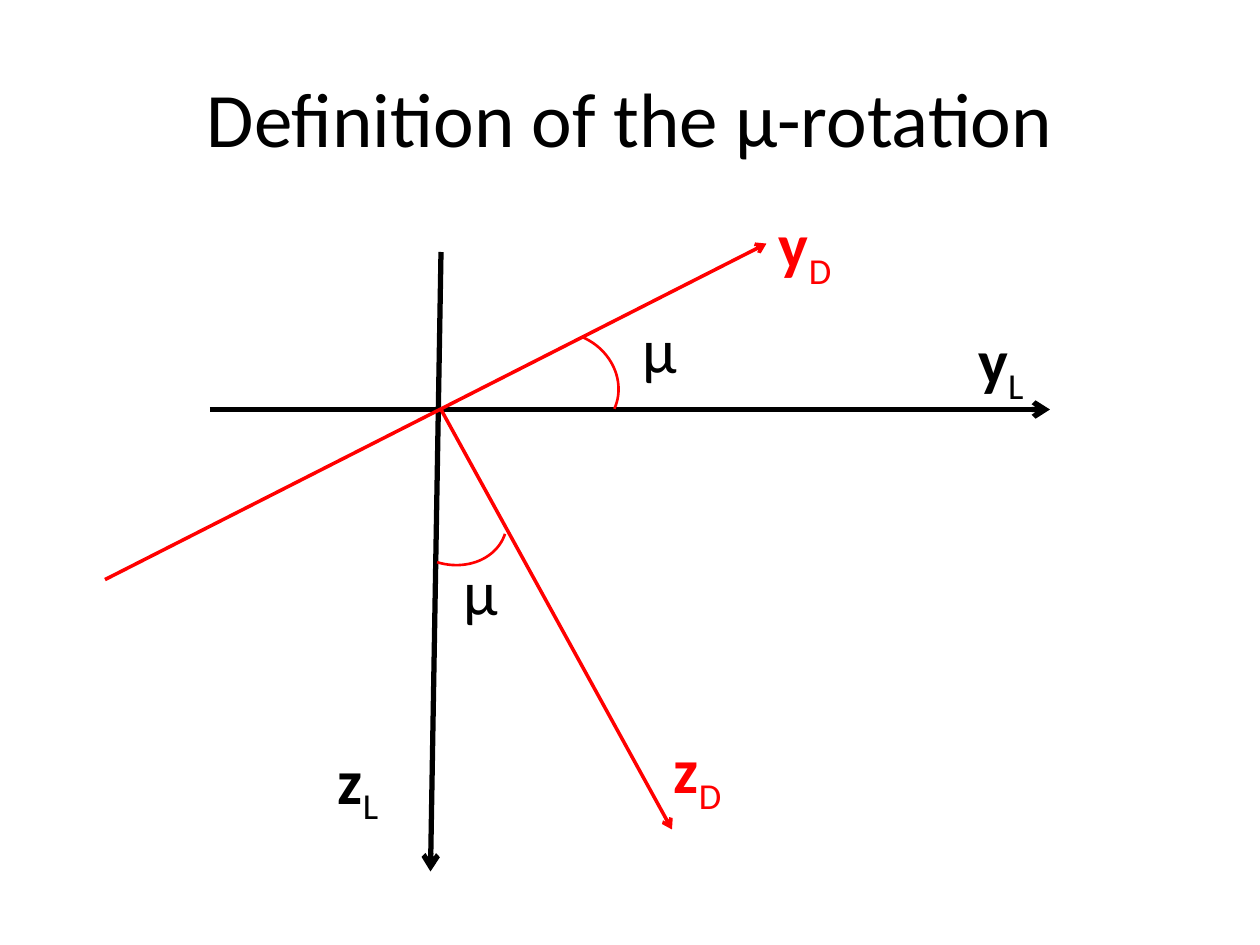
from dataclasses import dataclass

from lxml.etree import SubElement
from pptx import Presentation
from pptx.dml.color import RGBColor
from pptx.enum.shapes import MSO_CONNECTOR, MSO_SHAPE
from pptx.enum.text import MSO_ANCHOR, MSO_AUTO_SIZE, PP_ALIGN
from pptx.oxml.ns import qn
from pptx.slide import Slide
from pptx.util import Inches, Pt

BLACK = RGBColor(0x00, 0x00, 0x00)
RED = RGBColor(0xFF, 0x00, 0x00)
FONT = "Calibri"
CELLS_PER_INCH = 12
LABEL_HEIGHT = 8.5


@dataclass(frozen=True)
class Axis:
    start: tuple[float, float]
    end: tuple[float, float]
    color: RGBColor
    weight: float


@dataclass(frozen=True)
class AngleArc:
    column: float
    row: float
    columns: float
    rows: float
    rotation: float
    start_angle: float


@dataclass(frozen=True)
class Label:
    column: float
    row: float
    columns: float
    symbol: str
    subscript: str = ""
    color: RGBColor = BLACK


LAB_AXES = [
    Axis((20, 39), (100, 39), BLACK, 3),
    Axis((42, 24), (41, 83), BLACK, 3),
]
ROTATED_Z = Axis((42, 39), (64, 79), RED, 2)
ROTATED_Y = Axis((10, 55.2), (73, 23.2), RED, 2)
ARCS = [
    AngleArc(48, 31.7, 11, 10, 24, 162),
    AngleArc(38.4, 43.8, 9.1, 10.8, 107, 162.51),
]
LABELS = [
    Label(92, 30, 7, "y", "L"),
    Label(31, 70, 6.5, "z", "L"),
    Label(43, 52, 5.9, "μ"),
    Label(60, 29, 5.9, "μ"),
    Label(63, 69, 7.3, "z", "D", RED),
    Label(73, 19, 7.8, "y", "D", RED),
]


def cells(count: float) -> int:
    return Inches(count / CELLS_PER_INCH)


def add_run(paragraph, text: str, size: float, color: RGBColor, bold: bool = False):
    run = paragraph.add_run()
    run.text = text
    run.font.name = FONT
    run.font.size = Pt(size)
    run.font.bold = bold
    run.font.color.rgb = color
    return run


def draw_title(slide: Slide, text: str) -> None:
    title = slide.shapes.title
    title.left, title.top = Inches(0.5), Inches(0.3)
    title.width, title.height = Inches(9), Inches(1.25)
    title.text_frame.vertical_anchor = MSO_ANCHOR.MIDDLE
    paragraph = title.text_frame.paragraphs[0]
    paragraph.alignment = PP_ALIGN.CENTER
    add_run(paragraph, text, 44, BLACK)


def draw_axis(slide: Slide, axis: Axis) -> None:
    connector = slide.shapes.add_connector(
        MSO_CONNECTOR.STRAIGHT, *map(cells, axis.start + axis.end)
    )
    connector.line.color.rgb = axis.color
    connector.line.width = Pt(axis.weight)
    SubElement(connector.line._get_or_add_ln(), qn("a:tailEnd"), type="arrow")
    SubElement(connector._element.spPr, qn("a:effectLst"))


def draw_arc(slide: Slide, arc: AngleArc) -> None:
    shape = slide.shapes.add_shape(
        MSO_SHAPE.ARC, *map(cells, (arc.column, arc.row, arc.columns, arc.rows))
    )
    shape.rotation = arc.rotation
    shape.adjustments[0] = arc.start_angle
    shape.shadow.inherit = False
    shape.fill.background()
    shape.line.color.rgb = RED
    shape.line.width = Pt(1.5)


def draw_label(slide: Slide, label: Label) -> None:
    text_box = slide.shapes.add_textbox(
        *map(cells, (label.column, label.row, label.columns, LABEL_HEIGHT))
    )
    text_box.text_frame.word_wrap = False
    text_box.text_frame.auto_size = MSO_AUTO_SIZE.SHAPE_TO_FIT_TEXT
    paragraph = text_box.text_frame.paragraphs[0]
    add_run(paragraph, label.symbol, 36, label.color, bool(label.subscript))
    if label.subscript:
        subscript = add_run(paragraph, label.subscript, 36, label.color)
        subscript._r.get_or_add_rPr().set("baseline", "-25000")


def main() -> None:
    presentation = Presentation()
    presentation.slide_width, presentation.slide_height = Inches(10), Inches(7.5)
    slide = presentation.slides.add_slide(presentation.slide_layouts[5])
    draw_title(slide, "Definition of the μ-rotation")
    for axis in LAB_AXES + [ROTATED_Z]:
        draw_axis(slide, axis)
    for arc in ARCS:
        draw_arc(slide, arc)
    for label in LABELS:
        draw_label(slide, label)
    draw_axis(slide, ROTATED_Y)
    presentation.save("out.pptx")


main()
